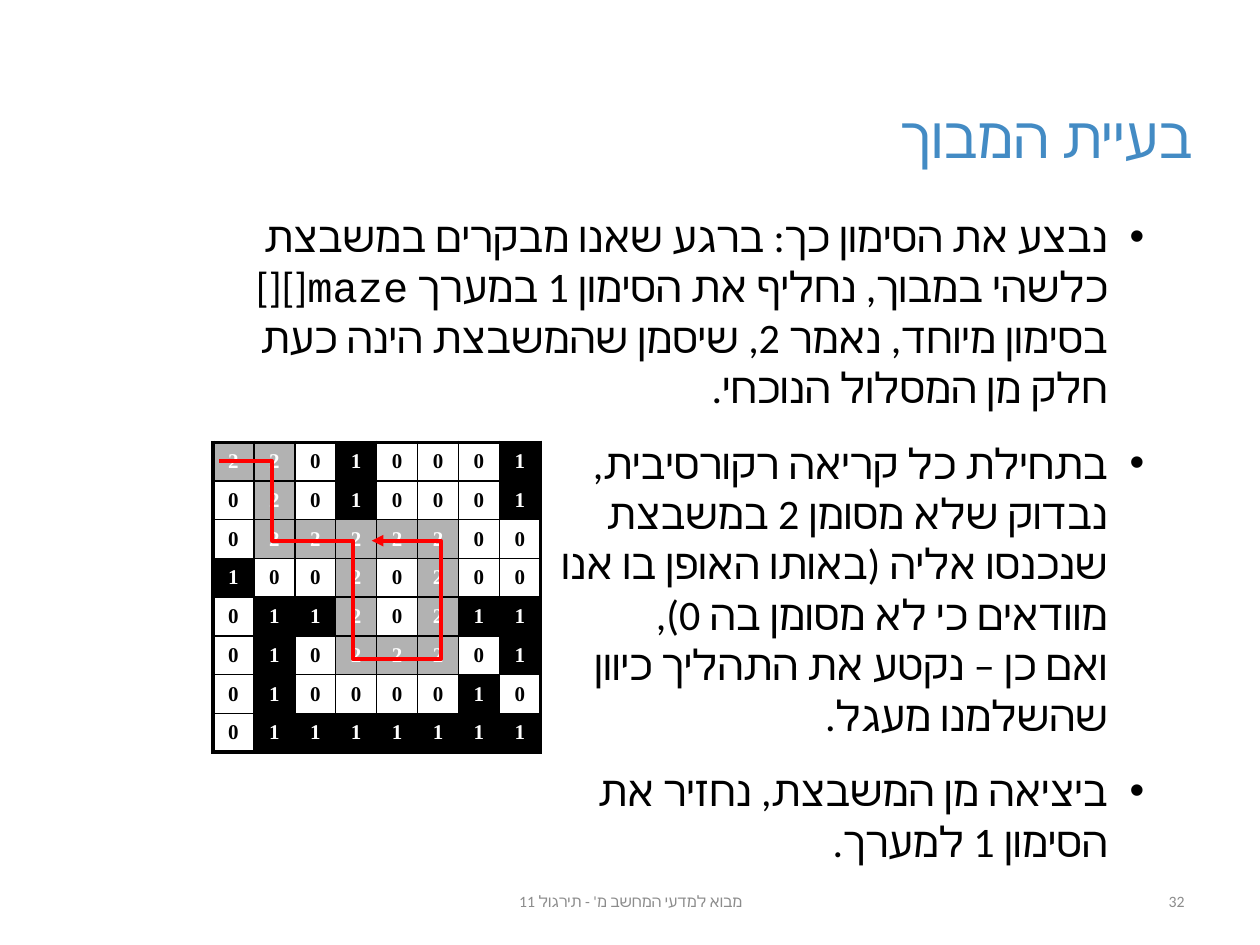
from dataclasses import dataclass

from lxml.etree import SubElement
from pptx import Presentation
from pptx.dml.color import RGBColor
from pptx.enum.text import MSO_ANCHOR, PP_ALIGN
from pptx.oxml.ns import qn
from pptx.util import Emu, Inches, Pt

BLACK = RGBColor(0x00, 0x00, 0x00)
WHITE = RGBColor(0xFF, 0xFF, 0xFF)
GRAY = RGBColor(0xB2, 0xB2, 0xB2)
FOOTER_GRAY = RGBColor(0x8C, 0x8C, 0x8C)
TITLE_BLUE = RGBColor(0x43, 0x8B, 0xC4)
RED = RGBColor(0xFF, 0x00, 0x00)

SLIDE_WIDTH, SLIDE_HEIGHT = Inches(10), Inches(7.5)


@dataclass(frozen=True)
class Region:
    """A rectangle in percent of the slide's width and height."""
    left: float
    top: float
    width: float
    height: float

    def lengths(self) -> tuple:
        return (Emu(round(SLIDE_WIDTH * self.left / 100)),
                Emu(round(SLIDE_HEIGHT * self.top / 100)),
                Emu(round(SLIDE_WIDTH * self.width / 100)),
                Emu(round(SLIDE_HEIGHT * self.height / 100)))


@dataclass(frozen=True)
class Typeface:
    latin: str
    hebrew: str
    size: float
    color: RGBColor
    bold: bool = False


@dataclass(frozen=True)
class Label:
    text: str
    region: Region
    typeface: Typeface
    align: PP_ALIGN


TITLE_FACE = Typeface("Arial", "Calibri", 33, TITLE_BLUE)
FOOTER_FACE = Typeface("Calibri", "Calibri", 9, FOOTER_GRAY)
BODY_FACE = Typeface("Times New Roman", "Calibri", 24, BLACK)
CODE_FACE = Typeface("Courier New", "Calibri", 24, BLACK)

LABELS = [
    Label("מבוא למדעי המחשב מ' - תירגול 11", Region(34.2, 92.67, 31.7, 5.33),
          FOOTER_FACE, PP_ALIGN.CENTER),
    Label("32", Region(71.7, 92.67, 23.3, 5.33), FOOTER_FACE, PP_ALIGN.RIGHT),
    Label("בעיית המבוך", Region(4.3, 6, 91.4, 16.67), TITLE_FACE, PP_ALIGN.RIGHT),
]

# Each bullet is a list of (text, typeface) spans; \v breaks a line
BODY_REGION = Region(13.8, 21.6, 78, 67.07)
BULLETS = [
    [("נבצע את הסימון כך: ברגע שאנו מבקרים במשבצת כלשהי במבוך, "
      "נחליף את הסימון 1 במערך ", BODY_FACE),
     ("maze[][]", CODE_FACE),
     (" בסימון מיוחד, נאמר 2, שיסמן שהמשבצת הינה כעת חלק מן המסלול הנוכחי.",
      BODY_FACE)],
    [("בתחילת כל קריאה רקורסיבית,\vנבדוק שלא מסומן 2 במשבצת\v"
      "שנכנסו אליה (באותו האופן בו אנו\vמוודאים כי לא מסומן בה 0),\v"
      "ואם כן – נקטע את התהליך כיוון\vשהשלמנו מעגל.", BODY_FACE)],
    [("ביציאה מן המשבצת, נחזיר את\vהסימון 1 למערך.", BODY_FACE)],
]

MAZE_REGION = Region(16.9, 46.8, 26, 32.8)
MAZE = ["22010001",
        "02010001",
        "02222200",
        "10020200",
        "01120211",
        "01022201",
        "01000010",
        "01111111"]
# Fill and digit colour for each mark
MARKS = {"0": (WHITE, BLACK), "1": (BLACK, WHITE), "2": (GRAY, WHITE)}
# Corners of the walk, in columns and rows of the maze
WALK = [(0.15, 0.49), (1.45, 0.49), (1.45, 2.54), (3.42, 2.54),
        (3.42, 5.59), (5.57, 5.59), (5.57, 2.54), (3.88, 2.54)]


def set_font(font, face: Typeface) -> None:
    font.name, font.size, font.bold = face.latin, Pt(face.size), face.bold
    font.color.rgb = face.color
    SubElement(font._element, qn("a:cs"), typeface=face.hebrew)


def add_box(page, region: Region, anchor: MSO_ANCHOR):
    frame = page.shapes.add_textbox(*region.lengths()).text_frame
    frame.word_wrap = True
    frame.vertical_anchor = anchor
    return frame


def set_direction(para, align: PP_ALIGN):
    para.alignment = align
    properties = para._p.get_or_add_pPr()
    properties.set("rtl", "1")
    return properties


def add_label(page, label: Label) -> None:
    para = add_box(page, label.region, MSO_ANCHOR.MIDDLE).paragraphs[0]
    para.text = label.text
    set_direction(para, label.align)
    set_font(para.font, label.typeface)


def add_bullets(page) -> None:
    frame = add_box(page, BODY_REGION, MSO_ANCHOR.TOP)
    frame.margin_left = Inches(0.2)
    for index, spans in enumerate(BULLETS):
        para = frame.paragraphs[0] if index == 0 else frame.add_paragraph()
        properties = set_direction(para, PP_ALIGN.RIGHT)
        properties.set("marL", str(Inches(0.29)))
        properties.set("indent", str(-Inches(0.29)))
        para.space_before = Pt(0.6 * BODY_FACE.size)
        SubElement(properties, qn("a:buFont"), typeface="Arial")
        SubElement(properties, qn("a:buChar"), char="•")
        if len(spans) == 1:
            para.text = spans[0][0]
            set_font(para.font, spans[0][1])
            continue
        for text, face in spans:
            span = para.add_run()
            span.text = text
            set_font(span.font, face)


def set_borders(cell, row: int, column: int) -> None:
    last = len(MAZE) - 1
    outer = {"L": column == 0, "R": column == last, "T": row == 0, "B": row == last}
    for side, is_outer in outer.items():
        line = SubElement(cell._tc.get_or_add_tcPr(), qn(f"a:ln{side}"),
                          w=str(Pt(2.25 if is_outer else 1)))
        fill = SubElement(line, qn("a:solidFill"))
        SubElement(fill, qn("a:srgbClr"), val=str(BLACK))


def add_maze(page) -> None:
    count = len(MAZE)
    table = page.shapes.add_table(count, count, *MAZE_REGION.lengths()).table
    table.first_row = table.horz_banding = False
    for row, marks in enumerate(MAZE):
        for column, mark in enumerate(marks):
            cell = table.cell(row, column)
            background, color = MARKS[mark]
            set_borders(cell, row, column)
            cell.fill.solid()
            cell.fill.fore_color.rgb = background
            cell.margin_left = cell.margin_right = 0
            cell.margin_top = cell.margin_bottom = 0
            cell.vertical_anchor = MSO_ANCHOR.MIDDLE
            para = cell.text_frame.paragraphs[0]
            para.text = mark
            para.alignment = PP_ALIGN.CENTER
            para.space_before = Pt(2.4)
            set_font(para.font, Typeface("Times New Roman", "Times New Roman",
                                         12, color, True))


def add_walk(page) -> None:
    left, top, width, height = MAZE_REGION.lengths()
    points = [(round(left + column * width / len(MAZE)),
               round(top + row * height / len(MAZE))) for column, row in WALK]
    builder = page.shapes.build_freeform(*points[0])
    builder.add_line_segments(points[1:], close=False)
    walk = builder.convert_to_shape()
    walk.shadow.inherit = False
    walk.fill.background()
    walk.line.color.rgb = RED
    walk.line.width = Pt(2.25)
    SubElement(walk.line._get_or_add_ln(), qn("a:tailEnd"), type="triangle")


def main() -> None:
    deck = Presentation()
    deck.slide_width, deck.slide_height = SLIDE_WIDTH, SLIDE_HEIGHT
    page = deck.slides.add_slide(deck.slide_layouts[6])
    # Maze with the walk drawn over it
    add_maze(page)
    add_walk(page)
    # Title, footer, page number and body
    for label in LABELS:
        add_label(page, label)
    add_bullets(page)
    deck.save("out.pptx")


if __name__ == "__main__":
    main()
